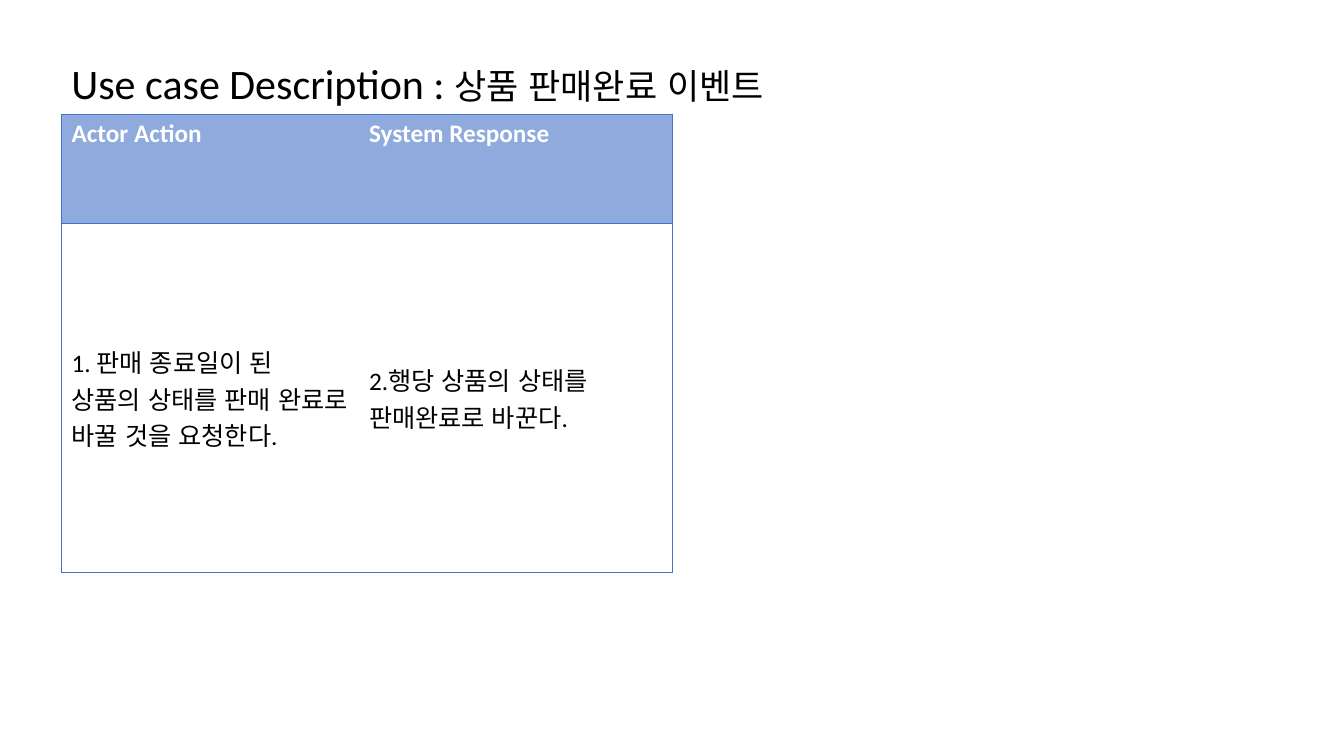
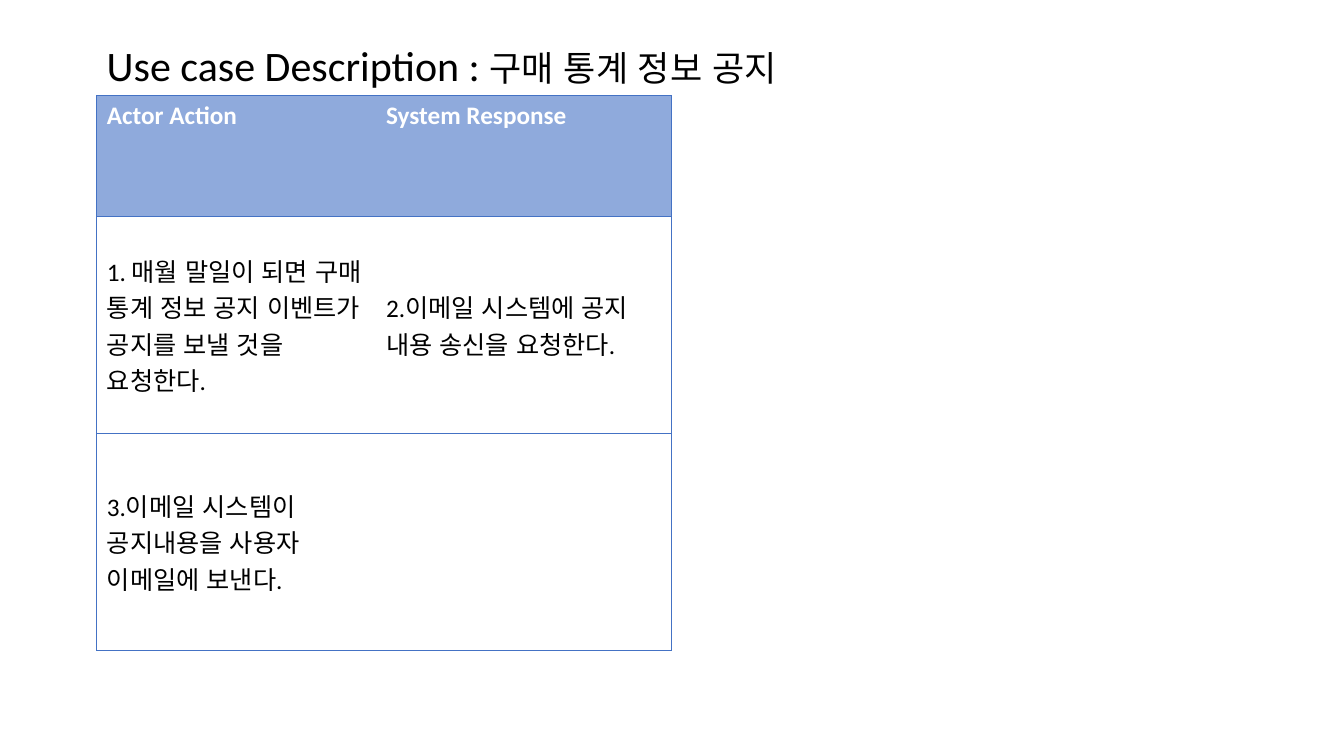
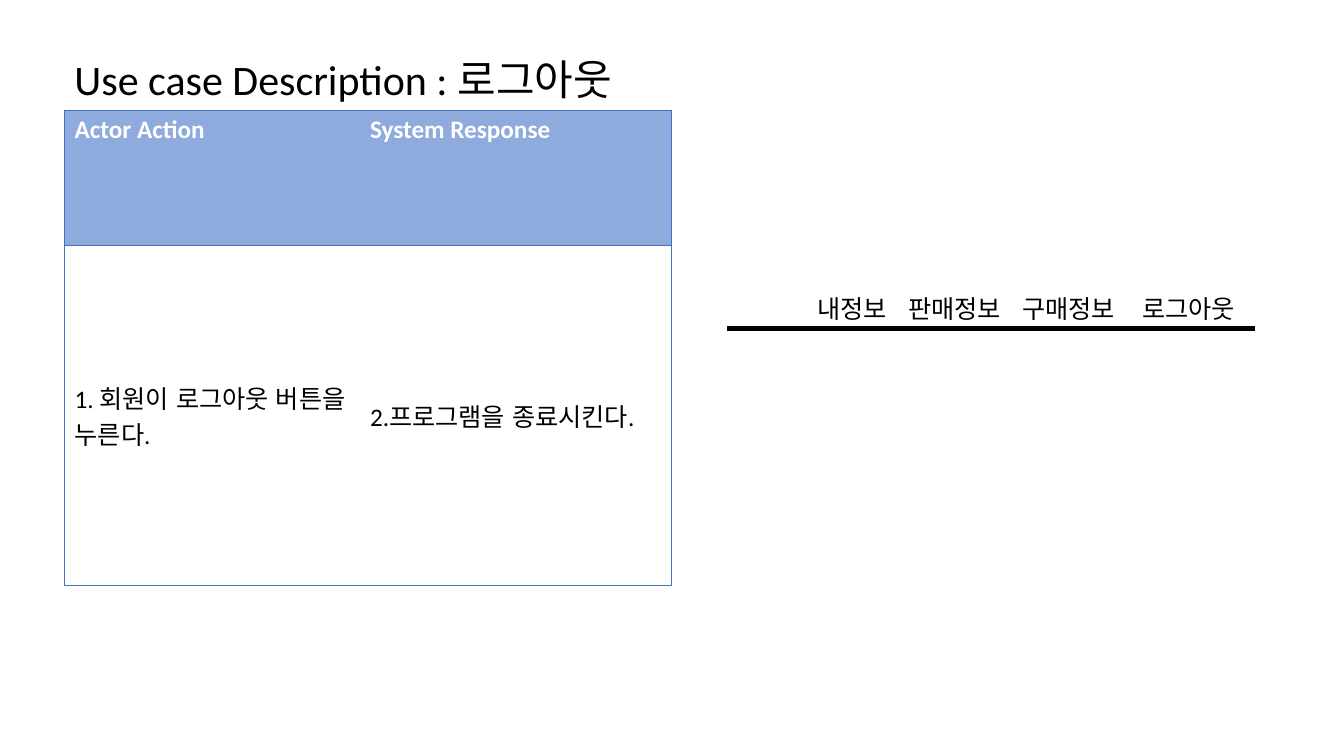
from lxml import etree
from pptx import Presentation
from pptx.dml.color import RGBColor
from pptx.enum import lang, shapes, text
from pptx.oxml import ns
from pptx.util import Inches, Pt

COLORS = {"ink": "000000", "header": "8FAADC", "header_text": "FFFFFF",
          "border": "4472C4"}
FONT = "Calibri"
NO_STYLE = "{2D5ABB26-0587-4C30-8999-92F81FD0307C}"
TITLE_HEIGHT = 0.61
HEADINGS = ["Actor Action", "System Response"]


def rgb(name):
    return RGBColor.from_string(COLORS[name])


def add_run(p, content, size=18, color="ink", bold=False):
    r = p.add_run()
    r.text = content
    r.font.name = FONT
    r.font.size = Pt(size)
    r.font.bold = bold
    r.font.color.rgb = rgb(color)
    r.font.language_id = lang.MSO_LANGUAGE_ID.KOREAN


def add_text(slide, x, y, w, h):
    """Add an empty text box and return its first paragraph."""
    tf = slide.shapes.add_textbox(Inches(x), Inches(y), Inches(w), Inches(h)).text_frame
    tf.word_wrap = True
    return tf.paragraphs[0]


def add_title(slide, x, y, w, subject, subject_size):
    p = add_text(slide, x, y, w, TITLE_HEIGHT)
    add_run(p, "Use case Description : ", size=30)
    add_run(p, subject, size=subject_size)


def set_borders(cell, sides):
    """Draw thin lines on the sides named by the letters L, R, T and B."""
    tc_pr = cell._tc.get_or_add_tcPr()
    for side in sides:
        ln = etree.SubElement(tc_pr, ns.qn(f"a:ln{side}"), w=str(Pt(0.5)))
        fill = etree.SubElement(ln, ns.qn("a:solidFill"))
        etree.SubElement(fill, ns.qn("a:srgbClr"), val=COLORS["border"])


def add_use_case_table(slide, x, y, cols, rows, steps):
    frame = slide.shapes.add_table(len(rows), len(cols), Inches(x), Inches(y),
                                   Inches(sum(cols)), Inches(sum(rows)))
    table = frame.table
    table.first_row = table.horz_banding = False
    table._tbl.tblPr.find(ns.qn("a:tableStyleId")).text = NO_STYLE
    for col, width in zip(table.columns, cols):
        col.width = Inches(width)
    for i, (height, contents) in enumerate(zip(rows, [HEADINGS, *steps])):
        table.rows[i].height = Inches(height)
        for j, content in enumerate(contents):
            cell = table.cell(i, j)
            set_borders(cell, ("L" if j == 0 else "R") + "TB")
            p = cell.text_frame.paragraphs[0]
            if i == 0:
                cell.fill.solid()
                cell.fill.fore_color.rgb = rgb("header")
                add_run(p, content, color="header_text", bold=True)
            else:
                cell.fill.background()
                cell.vertical_anchor = text.MSO_ANCHOR.MIDDLE
                if content:
                    add_run(p, content)


def add_rule(slide, x1, x2, y, width):
    line = slide.shapes.add_connector(shapes.MSO_CONNECTOR.STRAIGHT, Inches(x1),
                                      Inches(y), Inches(x2), Inches(y))
    line.line.color.rgb = rgb("ink")
    line.line.width = Pt(width)
    etree.SubElement(line._element.spPr, ns.qn("a:effectLst"))


def add_menu(slide, x, y, w, labels, tabs):
    """Add menu labels on one line, set apart by tab stops."""
    p = add_text(slide, x, y, w, 0.4)
    tab_list = etree.SubElement(p._p.get_or_add_pPr(), ns.qn("a:tabLst"))
    for tab in tabs:
        etree.SubElement(tab_list, ns.qn("a:tab"), pos=str(Inches(tab)), algn="l")
    add_run(p, "\t".join(labels))


def add_use_case(prs, x, y, title_width, subject, cols, rows, steps, subject_size=25):
    slide = prs.slides.add_slide(prs.slide_layouts[6])
    add_use_case_table(slide, x, y + TITLE_HEIGHT, cols, rows, steps)
    add_title(slide, x, y, title_width, subject, subject_size)
    return slide


def main():
    prs = Presentation()
    prs.slide_width, prs.slide_height = Inches(13.33), Inches(7.5)

    add_use_case(
        prs, 0.61, 0.52, 7.35, "상품 판매완료 이벤트", [2.95, 3.11], [1.09, 3.46],
        [["1. 판매 종료일이 된 상품의 상태를 판매 완료로 바꿀 것을 요청한다.",
          "2.행당 상품의 상태를 판매완료로 바꾼다."]])

    add_use_case(
        prs, 0.96, 0.34, 7.08, "구매 통계 정보 공지", [2.77, 2.93], [1.2, 2.15, 2.15],
        [["1. 매월 말일이 되면 구매 통계 정보 공지 이벤트가 공지를 보낼 것을 요청한다.",
          "2.이메일 시스템에 공지 내용 송신을 요청한다."],
         ["3.이메일 시스템이 공지내용을 사용자 이메일에 보낸다.", ""]])

    logout = add_use_case(
        prs, 0.64, 0.48, 5.72, "로그아웃", [2.93, 3.09], [1.34, 3.38],
        [["1. 회원이 로그아웃 버튼을 누른다.", "2.프로그램을 종료시킨다."]],
        subject_size=30)
    add_rule(logout, 7.21, 12.45, 3.26, 4)
    add_menu(logout, 8.01, 2.86, 4.68,
             ["내정보", "판매정보", "구매정보", "로그아웃"], [0.9, 2.03, 3.22])

    prs.save("out.pptx")


if __name__ == "__main__":
    main()
